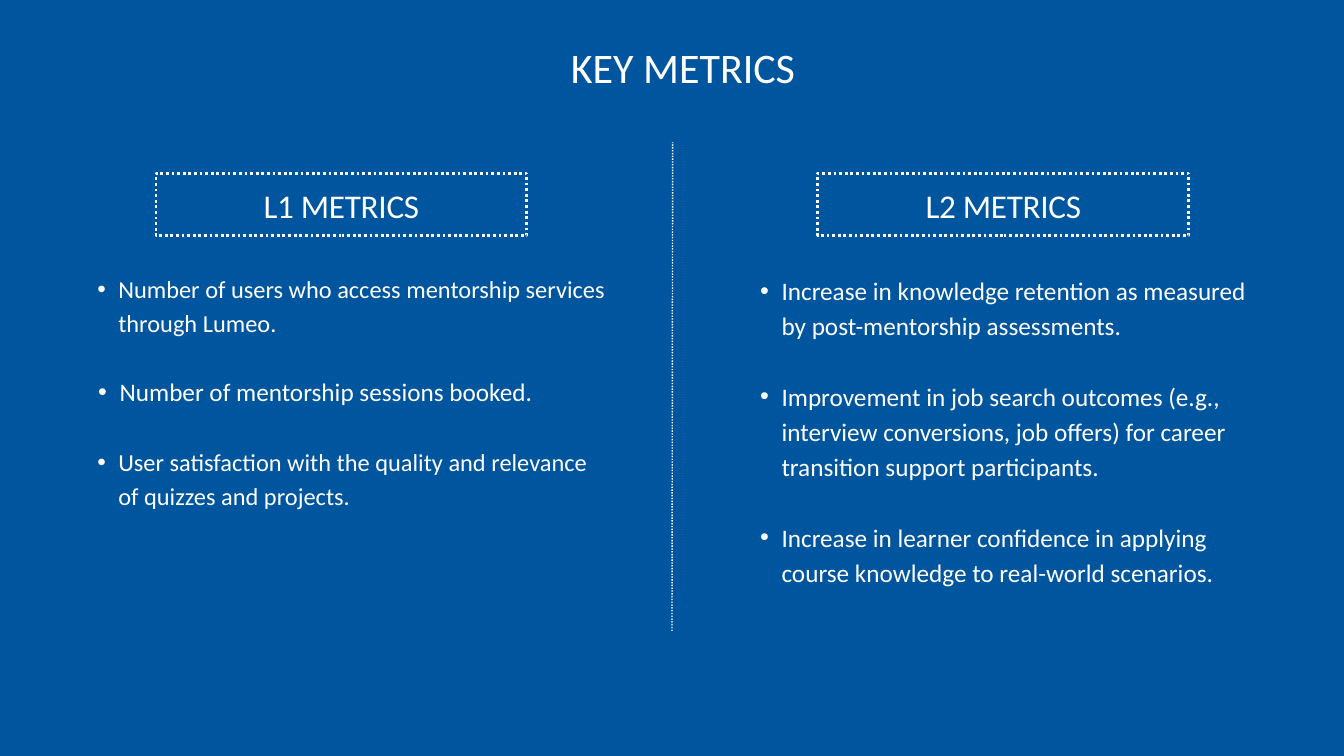
"""Build the key metrics slide: two bulleted panels either side of a dotted divider."""
from dataclasses import dataclass

from lxml.etree import SubElement
from pptx import Presentation
from pptx.dml.color import RGBColor
from pptx.enum.dml import MSO_LINE
from pptx.enum.shapes import MSO_CONNECTOR, MSO_SHAPE
from pptx.enum.text import MSO_ANCHOR, MSO_AUTO_SIZE, PP_ALIGN
from pptx.oxml.ns import qn
from pptx.util import Inches, Pt


@dataclass(frozen=True)
class Theme:
    font: str = "Calibri"
    background: RGBColor = RGBColor(0x00, 0x56, 0x9E)
    ink: RGBColor = RGBColor(0xFF, 0xFF, 0xFF)
    title: float = 45
    heading: float = 35.5
    body: float = 27
    compact: float = 26.1


theme = Theme()
leading = {theme.title: 63, theme.heading: 39, theme.body: 37.8, theme.compact: 36.5}


def write(paragraph, words, size):
    paragraph.line_spacing = Pt(leading[size])
    run = paragraph.add_run()
    run.text = words
    run.font.name = theme.font
    run.font.size = Pt(size)
    run.font.bold = False
    run.font.color.rgb = theme.ink
    return run


def dot_line(line, width):
    line.color.rgb = theme.ink
    line.width = Pt(width)
    line.dash_style = MSO_LINE.ROUND_DOT


panels = [
    ("L1 METRICS", 4.01, [
        ("Number of users who access mentorship services through Lumeo.", theme.compact),
        ("Number of mentorship sessions booked.", theme.body),
        ("User satisfaction with the quality and relevance of quizzes and projects.", theme.compact),
    ]),
    ("L2 METRICS", 4.02, [
        ("Increase in knowledge retention as measured by post-mentorship assessments.", theme.body),
        ("Improvement in job search outcomes (e.g., interview conversions, job offers) "
         "for career transition support participants.", theme.body),
        ("Increase in learner confidence in applying course knowledge to real-world scenarios.",
         theme.body),
    ]),
]

deck = Presentation()
deck.slide_width, deck.slide_height = Inches(20), Inches(11.25)
column, row = deck.slide_width / 20, deck.slide_height / 11.25
slide = deck.slides.add_slide(deck.slide_layouts[5])
slide.background.fill.solid()
slide.background.fill.fore_color.rgb = theme.background

title = slide.shapes.title
title.left, title.top = int(8.16 * column), int(0.49 * row)
title.width, title.height = int(4.01 * column), int(0.85 * row)
frame = title.text_frame
frame.margin_left = frame.margin_right = frame.margin_top = frame.margin_bottom = 0
frame.auto_size = MSO_AUTO_SIZE.NONE
frame.vertical_anchor = MSO_ANCHOR.TOP
frame.paragraphs[0].alignment = PP_ALIGN.CENTER
write(frame.paragraphs[0], "KEY METRICS", theme.title)

divider = slide.shapes.add_connector(
    MSO_CONNECTOR.STRAIGHT, int(10 * column), int(9.39 * row), int(10.01 * column), int(2.12 * row))
dot_line(divider.line, 1.5)
SubElement(divider._element.spPr, qn("a:effectLst"))

for index, (name, list_top, metrics) in enumerate(panels):
    panel_left = 1.14 + 9.85 * index

    heading = slide.shapes.add_shape(
        MSO_SHAPE.RECTANGLE, int((panel_left + 1.18) * column), int(2.58 * row),
        int(5.52 * column), int(0.93 * row))
    heading.shadow.inherit = False
    heading.fill.background()
    dot_line(heading.line, 3)
    frame = heading.text_frame
    frame.margin_left = frame.margin_right = frame.margin_bottom = Inches(0.06)
    frame.margin_top = Inches(0.14)
    frame.vertical_anchor = MSO_ANCHOR.MIDDLE
    frame.paragraphs[0].alignment = PP_ALIGN.CENTER
    label = write(frame.paragraphs[0], name, theme.heading)
    label._r.get_or_add_rPr().set("spc", "-30")

    metric_list = slide.shapes.add_textbox(
        int(panel_left * column), int(list_top * row), int(7.88 * column), int(5.03 * row))
    frame = metric_list.text_frame
    frame.word_wrap = True
    frame.margin_left = frame.margin_right = frame.margin_top = frame.margin_bottom = 0
    previous_size = None
    for metric, size in metrics:
        paragraph = frame.add_paragraph() if previous_size else frame.paragraphs[0]
        paragraph.level = 1
        paragraph.alignment = PP_ALIGN.LEFT
        write(paragraph, metric, size)
        if previous_size:
            paragraph.space_before = Pt(leading[previous_size])
        hanging = Inches(0.32 if size == theme.body else 0.31)
        properties = paragraph._p.get_or_add_pPr()
        properties.set("marL", str(2 * hanging))
        properties.set("indent", str(-hanging))
        SubElement(properties, qn("a:buFont"), typeface="Arial")
        SubElement(properties, qn("a:buChar"), char="•")
        previous_size = size

deck.save("out.pptx")
